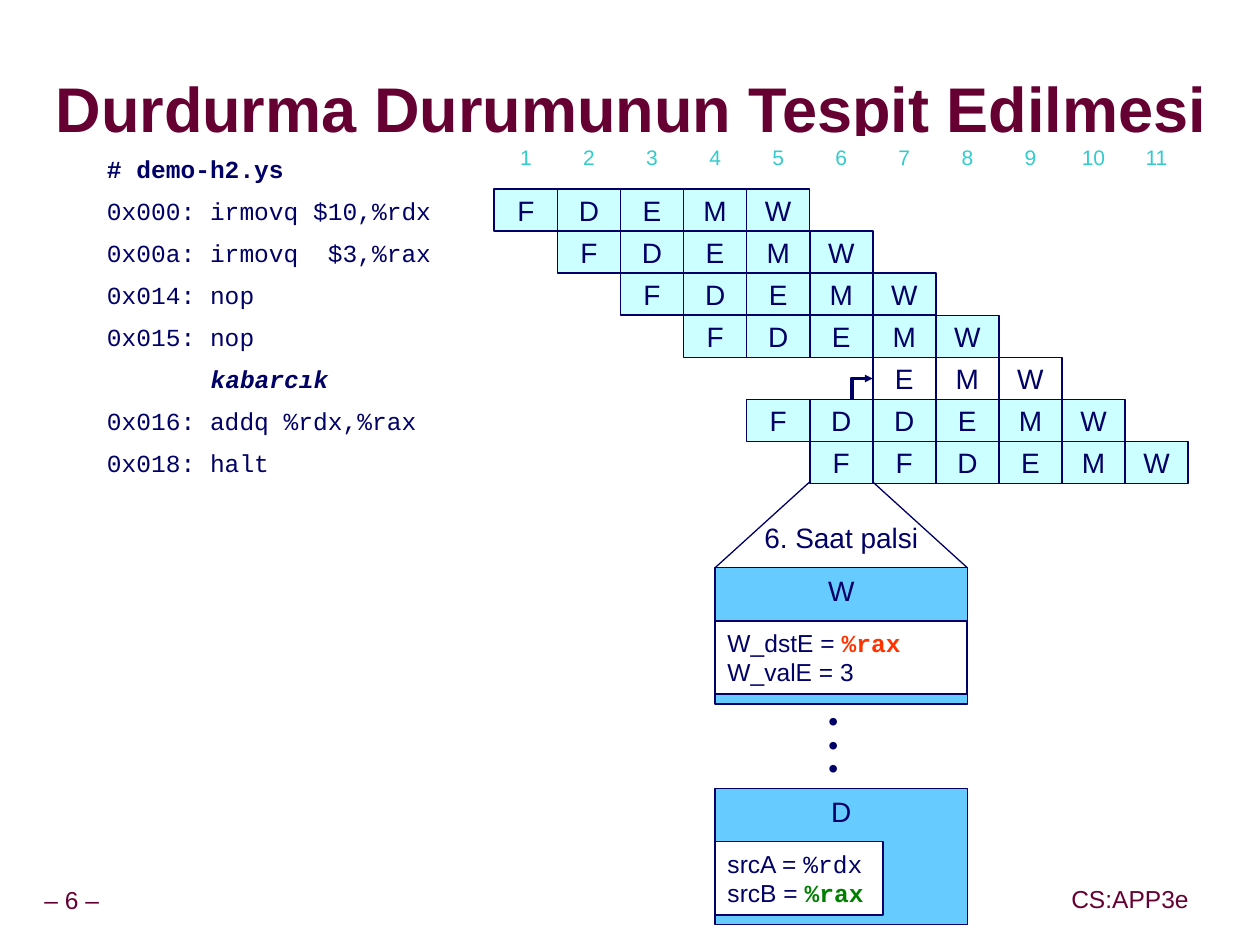
from lxml import etree
from pptx import Presentation
from pptx import util as u
from pptx.dml.color import RGBColor
from pptx.enum import shapes, text
from pptx.oxml import parse_xml
from pptx.oxml.ns import nsdecls, qn

NAVY, MAROON, TEAL = "000066", "660033", "33CCCC"
WHITE, PALE, SKY = "FFFFFF", "CCFFFF", "66CCFF"
RED, GREEN = "FF3300", "008000"
SANS, MONO = "Arial", "Courier New"
LEFT, CENTER = text.PP_ALIGN.LEFT, text.PP_ALIGN.CENTER
TOP, MIDDLE = text.MSO_ANCHOR.TOP, text.MSO_ANCHOR.MIDDLE
COL, ROW = 0.5, 1 / 3

# (code, style, first clock cycle, stages, fill)
PROGRAM = [
    ("0x000: irmovq $10,%rdx", {}, 1, "FDEMW", PALE),
    ("0x00a: irmovq  $3,%rax", {}, 2, "FDEMW", PALE),
    ("0x014: nop", {}, 3, "FDEMW", PALE),
    ("0x015: nop", {}, 4, "FDEMW", PALE),
    ("kabarcık", {"bold": True, "italic": True}, 7, "EMW", None),
    ("0x016: addq %rdx,%rax", {}, 5, "FDDEMW", PALE),
    ("0x018: halt", {}, 6, "FFDEMW", PALE),
]
BUBBLE_ROW = 4


def rgb(value):
    return RGBColor.from_string(value)


def add_span(para, words, size=16, font=SANS, color=NAVY, bold=False, italic=False):
    span = para.add_run()
    span.text = words
    span.font.size = u.Pt(size)
    span.font.name = font
    span.font.color.rgb = rgb(color)
    span.font.bold = bold
    span.font.italic = italic
    return span


def fill_text(frame, lines, align=LEFT, anchor=MIDDLE, wrap=False, spacing=None):
    """Write lines, each a list of (words, style) runs."""
    frame.word_wrap = wrap
    frame.vertical_anchor = anchor
    for index, line in enumerate(lines):
        para = frame.add_paragraph() if index else frame.paragraphs[0]
        para.alignment = align
        if spacing:
            para.line_spacing = spacing
        for words, style in line:
            add_span(para, words, **style)


def add_label(page, box, lines, **layout):
    label = page.shapes.add_textbox(*map(u.Inches, box))
    fill_text(label.text_frame, lines, **layout)
    return label


def add_block(page, box, lines, fill=WHITE, line=None, **layout):
    """Add a rectangle; line is its outline width in points."""
    block = page.shapes.add_shape(shapes.MSO_SHAPE.RECTANGLE, *map(u.Inches, box))
    block.shadow.inherit = False
    if fill:
        block.fill.solid()
        block.fill.fore_color.rgb = rgb(fill)
    else:
        block.fill.background()
    if line:
        block.line.color.rgb = rgb(NAVY)
        block.line.width = u.Pt(line)
    else:
        block.line.fill.background()
    fill_text(block.text_frame, lines, **layout)
    return block


def add_title(page, box):
    title = page.shapes.title
    title.left, title.top, title.width, title.height = map(u.Inches, box)
    frame = title.text_frame
    frame.margin_left = frame.margin_right = frame.margin_top = frame.margin_bottom = 0
    frame.auto_size = text.MSO_AUTO_SIZE.NONE
    style = {"size": 36, "color": MAROON, "bold": True}
    fill_text(frame, [[("Durdurma Durumunun Tespit Edilmesi", style)]],
              wrap=True, spacing=0.87)
    shadow = parse_xml(
        f'<a:effectLst {nsdecls("a")}><a:outerShdw dist="53882" dir="2700000">'
        '<a:srgbClr val="969696"/></a:outerShdw></a:effectLst>')
    properties = frame.paragraphs[0].runs[0].font._element
    properties.find(qn("a:solidFill")).addnext(shadow)


def add_footer(page, box, words):
    label = add_label(page, box, [[(words, {"size": 14, "color": MAROON})]],
                      align=CENTER, spacing=0.9)
    label.text_frame.margin_left = label.text_frame.margin_right = u.Inches(0.05)


def add_listing(page, left, top):
    lines = [("# demo-h2.ys", {"bold": True})] + [entry[:2] for entry in PROGRAM]
    for index, (code, style) in enumerate(lines):
        block = add_block(page, (left, top + index * ROW, 2.83, ROW),
                          [[(code, {"size": 14, "font": MONO, **style})]])
        if index == BUBBLE_ROW + 1:
            block.text_frame.margin_left = u.Inches(0.92)


def add_pipeline(page, left, top):
    for cycle in range(11):
        add_block(page, (left + cycle * COL, top - 0.42, COL, ROW),
                  [[(str(cycle + 1), {"size": 12, "color": TEAL})]], align=CENTER)
    for row, (_, _, start, stages, fill) in enumerate(PROGRAM):
        for cycle, stage in enumerate(stages, start - 1):
            add_block(page, (left + cycle * COL, top + row * ROW, COL, ROW),
                      [[(stage, {})]], fill=fill, line=1, align=CENTER)
    add_bubble_arrow(page, left + 6 * COL, top + (BUBBLE_ROW + 0.5) * ROW)


def add_bubble_arrow(page, tip_x, tip_y):
    reach = ROW / 2
    outline = page.shapes.build_freeform(
        u.Inches(tip_x - reach), u.Inches(tip_y + reach))
    outline.add_line_segments(
        [(u.Inches(tip_x - reach), u.Inches(tip_y)),
         (u.Inches(tip_x), u.Inches(tip_y))], close=False)
    arrow = outline.convert_to_shape()
    arrow.shadow.inherit = False
    arrow.fill.background()
    arrow.line.color.rgb = rgb(NAVY)
    arrow.line.width = u.Pt(2.25)
    head = etree.SubElement(arrow.line._get_or_add_ln(), qn("a:tailEnd"))
    for key, value in (("type", "triangle"), ("w", "sm"), ("len", "sm")):
        head.set(key, value)


def add_zoom_line(page, start, end):
    line = page.shapes.add_connector(
        shapes.MSO_CONNECTOR.STRAIGHT, *map(u.Inches, start + end))
    line.line.color.rgb = rgb(NAVY)
    line.line.width = u.Pt(0.75)
    etree.SubElement(line._element.spPr, qn("a:effectLst"))


def add_stage(page, left, top, name, width, lines):
    """Add a pipeline stage with its signal values in an inner box."""
    add_block(page, (left, top, 2, 1.08), [[(name, {})]], fill=SKY, line=0.75,
              align=CENTER, anchor=TOP)
    add_block(page, (left, top + 0.42, width, 0.58), lines, line=1)


def add_cycle_detail(page, left, top):
    add_zoom_line(page, (left + 0.75, top - 0.68), (left, top))
    add_zoom_line(page, (left + 1.25, top - 0.68), (left + 2, top))
    add_label(page, (left, top - 0.42, 2, 0.37), [[("6. Saat palsi", {})]],
              align=CENTER, anchor=TOP, wrap=True)
    plain = {"size": 14}
    code = {"size": 14, "font": MONO}
    add_stage(page, left, top, "W", 2, [
        [("W_dstE = ", plain), ("%rax", {**code, "color": RED, "bold": True})],
        [("W_valE = 3", plain)]])
    add_label(page, (left + 0.8, top + 1.1, 0.28, 0.66), [[("•", {})]] * 3,
              anchor=TOP, spacing=0.7)
    add_stage(page, left, top + 1.75, "D", 1.33, [
        [("srcA = ", plain), ("%rdx", code)],
        [("srcB = ", plain), ("%rax", {**code, "color": GREEN, "bold": True})]])


def main():
    deck = Presentation()
    deck.slide_width, deck.slide_height = u.Inches(9.99), u.Inches(7.49)
    page = deck.slides.add_slide(deck.slide_layouts[5])
    add_title(page, (0.44, 0.47, 9.52, 0.85))
    add_footer(page, (0.24, 6.99, 0.66, 0.31), "– 6 –")
    add_footer(page, (8.44, 6.98, 1.04, 0.32), "CS:APP3e")
    add_listing(page, 0.75, 1.17)
    add_pipeline(page, 3.92, 1.5)
    add_cycle_detail(page, 5.67, 4.5)
    deck.save("out.pptx")


if __name__ == "__main__":
    main()
